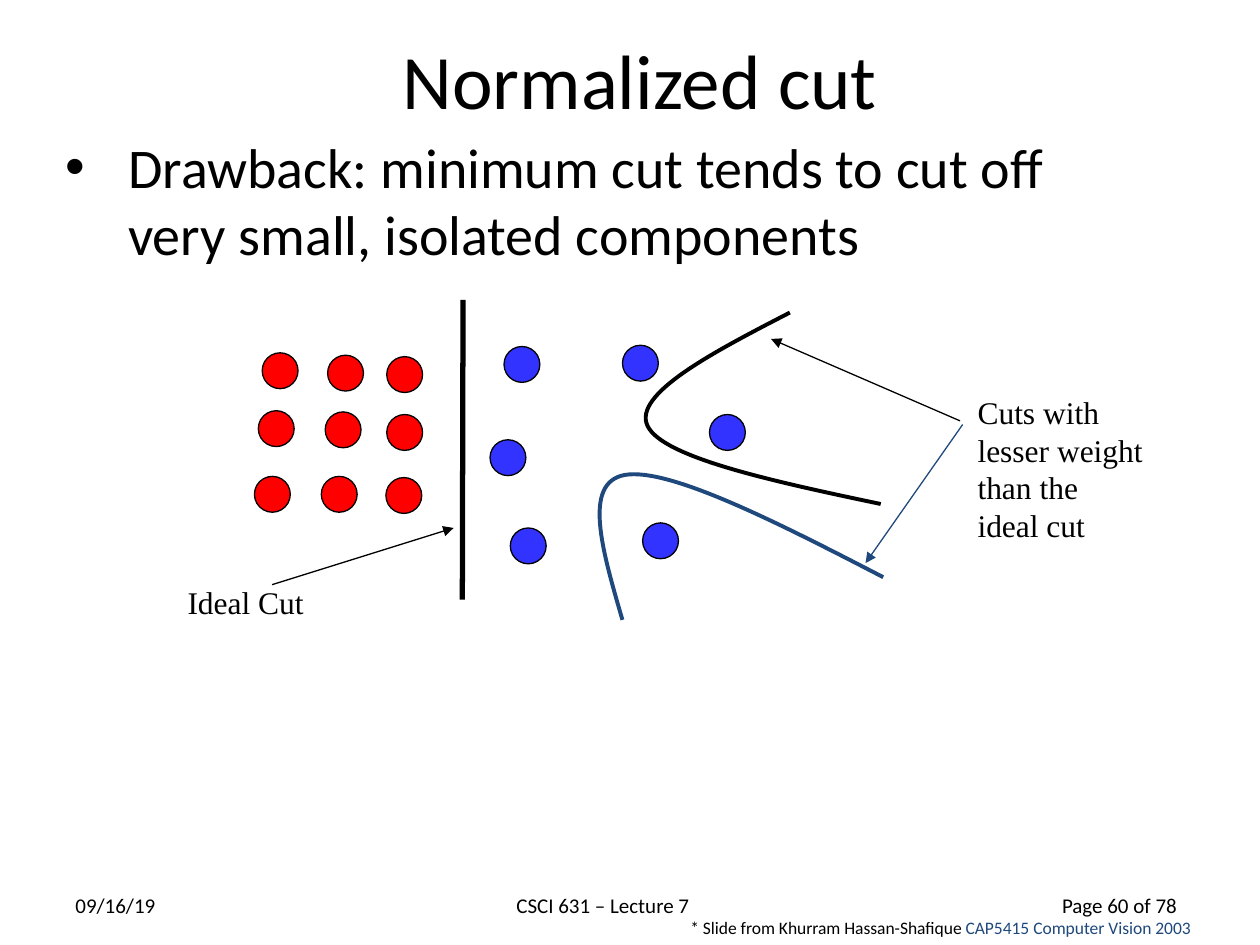
import dataclasses
import pptx
import pptx.util
import pptx.dml.color
import pptx.enum.shapes
import pptx.enum.text
import pptx.oxml.ns
import pptx.oxml.xmlchemy

Pt = pptx.util.Pt
qn = pptx.oxml.ns.qn
Anchor = pptx.enum.text.MSO_ANCHOR
Align = pptx.enum.text.PP_ALIGN


@dataclasses.dataclass(frozen=True)
class Theme:
    black: str = "000000"
    navy: str = "1F497D"
    red: str = "FF0000"
    blue: str = "3333FF"
    sans: str = "Calibri"
    serif: str = "Times New Roman"
    title: int = 44
    body: int = 32
    label: int = 18
    foot: int = 12
    credit: int = 10
    thin: float = 0.75
    curve: float = 2.25
    thick: float = 3
    dot: float = 20.5


theme = Theme()
REDS = [
    (149.8, 201.6), (187.2, 203), (221, 203.8),
    (147.6, 234.7), (185.8, 235.4), (221, 236.9),
    (145.4, 272.2), (183.6, 272.2), (220.5, 272.9),
]
BLUES = [
    (288, 198), (355.7, 197.3), (280, 251.3),
    (405.4, 236.9), (291.6, 301.7), (367.2, 298.8),
]


def color(code):
    return pptx.dml.color.RGBColor.from_string(code)


def add_node(parent, tag, **attrs):
    node = pptx.oxml.xmlchemy.OxmlElement(tag)
    for name, value in attrs.items():
        node.set(name, str(value))
    parent.append(node)
    return node


def write(frame, lines, size, font=theme.sans, align=Align.LEFT,
          anchor=Anchor.TOP, wrap=False, bullet=False):
    frame.word_wrap = wrap
    frame.vertical_anchor = anchor
    for index, runs in enumerate(lines):
        para = frame.add_paragraph() if index else frame.paragraphs[0]
        para.alignment = align
        if bullet:
            props = para._p.get_or_add_pPr()
            props.set("marL", str(Pt(36)))
            props.set("indent", str(-Pt(36)))
            add_node(props, "a:buFont", typeface="Arial")
            add_node(props, "a:buChar", char="•")
        for text, tint in runs:
            run = para.add_run()
            run.text = text
            run.font.size = Pt(size)
            run.font.name = font
            run.font.color.rgb = color(tint)


def add_text(slide, box, *lines, **style):
    shape = slide.shapes.add_textbox(*map(Pt, box))
    runs = [[(line, theme.black)] if isinstance(line, str) else line
            for line in lines]
    write(shape.text_frame, runs, **style)


def add_title(slide, text):
    title = slide.shapes.title
    title.left, title.top, title.width, title.height = map(Pt, (41.8, 0, 648, 90))
    write(title.text_frame, [[(text, theme.black)]], theme.title,
          align=Align.CENTER, anchor=Anchor.MIDDLE, wrap=True)


def add_dot(slide, left, top, fill):
    oval = pptx.enum.shapes.MSO_SHAPE.OVAL
    dot = slide.shapes.add_shape(oval, *map(Pt, (left, top, theme.dot, theme.dot)))
    dot.shadow.inherit = False
    dot.fill.solid()
    dot.fill.fore_color.rgb = color(fill)
    dot.line.color.rgb = color(theme.black)
    dot.line.width = Pt(theme.thin)


def add_line(slide, start, end, tint=theme.black, width=theme.thin, arrow=True):
    kind = pptx.enum.shapes.MSO_CONNECTOR.STRAIGHT
    line = slide.shapes.add_connector(kind, *map(Pt, start + end))
    line.line.color.rgb = color(tint)
    line.line.width = Pt(width)
    if arrow:
        add_node(line.get_or_add_ln(), "a:tailEnd", type="triangle")
    add_node(line._element.spPr, "a:effectLst")


def add_curve(slide, points, tint):
    start, *rest = [(Pt(x), Pt(y)) for x, y in points]
    builder = slide.shapes.build_freeform(*start)
    builder.add_line_segments(rest, close=False)
    shape = builder.convert_to_shape()
    shape.shadow.inherit = False
    shape.fill.background()
    shape.line.color.rgb = color(tint)
    shape.line.width = Pt(theme.curve)
    route = next(shape._element.iter(qn("a:path")))
    steps = route.findall(qn("a:lnTo"))
    for first in range(0, len(steps), 3):
        bend = add_node(route, "a:cubicBezTo")
        for step in steps[first:first + 3]:
            bend.append(step[0])
            route.remove(step)


def add_graph(slide):
    for spots, fill in ((REDS, theme.red), (BLUES, theme.blue)):
        for left, top in spots:
            add_dot(slide, left, top, fill)
    add_line(slide, (264.6, 171.4), (264.2, 342.7), width=theme.thick, arrow=False)
    add_curve(slide, [(451.4, 178.6), (406.8, 201.6), (361.4, 225.4), (370.1, 243.4),
                      (378.7, 261.4), (441.4, 275), (503.3, 288)], theme.black)
    add_curve(slide, [(504.7, 329.8), (443.5, 298.1), (382.3, 267.1), (357.1, 271.4),
                      (332.6, 275.8), (344.2, 314.6), (355.7, 354.2)], theme.navy)
    add_line(slide, (155.5, 334.1), (259.2, 301.7))
    add_line(slide, (548.6, 240.5), (440.6, 193.7))
    add_line(slide, (550.1, 242.6), (494.6, 321.8), tint=theme.navy)
    label = {"size": theme.label, "font": theme.serif}
    add_text(slide, (100.1, 329.8, 103, 36), "Ideal Cut", **label)
    add_text(slide, (551.5, 221, 140.4, 122.4), "Cuts with", "lesser weight",
             "than the", "ideal cut", **label)


def add_footer(slide):
    notes = ((36, 66.2, "09/16/19"), (288, 113.8, "CSCI 631 – Lecture 7"),
             (599.8, 84.2, "Page 60 of 78"))
    for left, width, text in notes:
        add_text(slide, (left, 506.2, width, 21.6), text, size=theme.foot)
    credit = [("* Slide from Khurram Hassan-Shafique ", theme.black),
              ("CAP5415 Computer Vision 2003", theme.navy)]
    add_text(slide, (387.4, 520.6, 332.6, 19.4), credit, size=theme.credit)


def main():
    deck = pptx.Presentation()
    deck.slide_width, deck.slide_height = Pt(720), Pt(540)
    slide = deck.slides.add_slide(deck.slide_layouts[5])
    add_title(slide, "Normalized cut")
    add_text(slide, (30.2, 72, 635.8, 414),
             "Drawback: minimum cut tends to cut off very small, isolated components",
             size=theme.body, wrap=True, bullet=True)
    add_graph(slide)
    add_footer(slide)
    deck.save("out.pptx")


if __name__ == "__main__":
    main()
